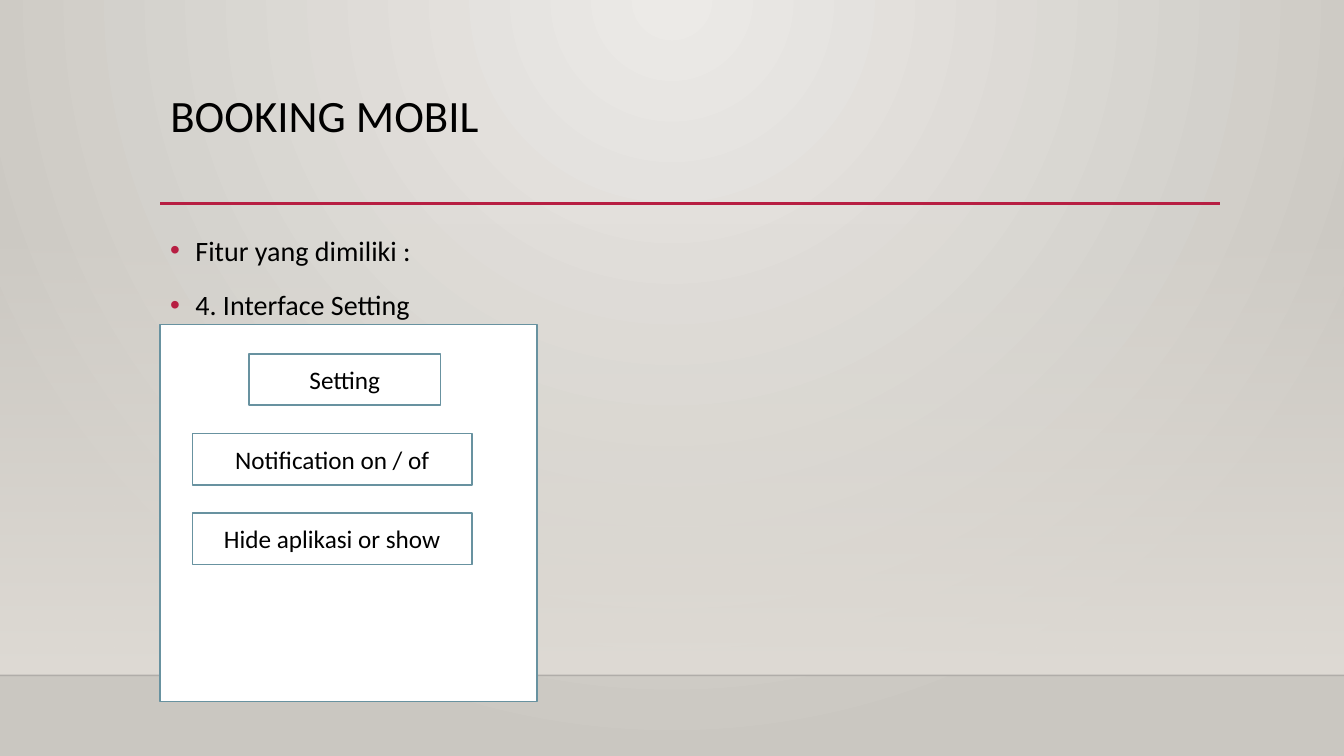
from pptx import Presentation
from pptx.dml.color import RGBColor
from pptx.enum.shapes import MSO_CONNECTOR as CONN, MSO_SHAPE as SHAPE
from pptx.enum.text import MSO_ANCHOR as ANCHOR, PP_ALIGN as ALIGN
from pptx.oxml import parse_xml
from pptx.oxml.ns import nsdecls, qn
from pptx.oxml.xmlchemy import OxmlElement
from pptx.util import Inches, Pt

FONT = "Calibri"
BLACK, WHITE, RED, TEAL = "000000", "FFFFFF", "B71E42", "6892A0"
LEFT, WIDTH = 1.59, 10.5


def rgb(color):
    return RGBColor.from_string(color)


def box(left, top, width, height):
    return [Inches(v) for v in (left, top, width, height)]


def add_run(p, text, size):
    r = p.add_run()
    r.text = text
    r.font.name, r.font.size = FONT, Pt(size)
    r.font.color.rgb = rgb(BLACK)


def add_alpha(color_el, percent):
    alpha = OxmlElement("a:alpha")
    alpha.set("val", str(percent * 1000))
    color_el.append(alpha)


def set_gradient(fill, element, stops, direction):
    """Stops are (position, colour, opacity); direction is the closing XML."""
    fill.solid()
    solid = element.xpath(".//a:solidFill")[0]
    gs = "".join(
        f'<a:gs pos="{pos * 1000}"><a:srgbClr val="{color}">'
        f'<a:alpha val="{opacity * 1000}"/></a:srgbClr></a:gs>'
        for pos, color, opacity in stops)
    solid.getparent().replace(solid, parse_xml(
        f'<a:gradFill {nsdecls("a")} rotWithShape="1">'
        f"<a:gsLst>{gs}</a:gsLst>{direction}</a:gradFill>"))


def add_rule(s, left, right, y, color, width, opacity=100):
    line = s.shapes.add_connector(
        CONN.STRAIGHT, Inches(left), Inches(y), Inches(right), Inches(y))
    line.line.color.rgb = rgb(color)
    line.line.width = Pt(width)
    sp_pr = line._element.spPr
    if opacity < 100:
        add_alpha(sp_pr.find(".//" + qn("a:srgbClr")), opacity)
    sp_pr.append(OxmlElement("a:effectLst"))


def add_backdrop(s):
    set_gradient(s.background.fill, s._element,
                 [(0, "ECEAE7", 100), (100, "CAC7C1", 100)],
                 '<a:path path="circle">'
                 '<a:fillToRect l="43000" t="0" r="43000" b="100000"/></a:path>')
    wall = s.shapes.add_shape(SHAPE.RECTANGLE, *box(0, 2.21, 13.33, 4.49))
    wall.shadow.inherit = False
    set_gradient(wall.fill, wall._element,
                 [(0, "DFDBD5", 0), (100, "DFDBD5", 100)],
                 '<a:lin ang="5400000" scaled="0"/>')
    wall.line.fill.background()
    add_rule(s, 0, 13.33, 6.7, "000001", 1, opacity=20)
    add_rule(s, LEFT, 12.1, 2.02, RED, 2.5)


def add_title(s, text):
    title = s.shapes.title
    title.left, title.top, title.width, title.height = box(LEFT, 0.88, WIDTH, 1.15)
    s.shapes._spTree.append(title._element)  # in front of the backdrop
    tf = title.text_frame
    tf.word_wrap, tf.vertical_anchor = True, ANCHOR.TOP
    p = tf.paragraphs[0]
    p.alignment, p.line_spacing = ALIGN.LEFT, 0.9
    add_run(p, text, 32)


def add_bullets(s, lines):
    tf = s.shapes.add_textbox(*box(LEFT, 2.2, WIDTH, 3.77)).text_frame
    tf.word_wrap = True
    for i, text in enumerate(lines):
        p = tf.add_paragraph() if i else tf.paragraphs[0]
        p.line_spacing, p.space_before = 1.2, Pt(10)
        p_pr = p._p.get_or_add_pPr()
        p_pr.set("marL", str(Inches(0.25)))
        p_pr.set("indent", str(-Inches(0.25)))
        p_pr.append(parse_xml(
            f'<a:buClr {nsdecls("a")}><a:srgbClr val="{RED}"/></a:buClr>'))
        p_pr.append(parse_xml(f'<a:buFont {nsdecls("a")} typeface="Arial"/>'))
        p_pr.append(parse_xml(f'<a:buChar {nsdecls("a")} char="•"/>'))
        add_run(p, text, 20)


def add_panel(group, left, top, width, height, text=None):
    sp = group.shapes.add_shape(SHAPE.RECTANGLE, *box(left, top, width, height))
    sp.shadow.inherit = False
    sp.fill.solid()
    sp.fill.fore_color.rgb = rgb(WHITE)
    sp.line.color.rgb = rgb(TEAL)
    sp.line.width = Pt(1.25)
    if text:
        tf = sp.text_frame
        tf.word_wrap, tf.vertical_anchor = True, ANCHOR.MIDDLE
        p = tf.paragraphs[0]
        p.alignment = ALIGN.CENTER
        add_run(p, text, 18)


def add_setting_screen(s):
    screen = s.shapes.add_group_shape()
    add_panel(screen, LEFT, 3.22, 3.74, 3.74)
    controls = [("Setting", 2.47, 1.9),
                ("Notification on / of", 1.91, 2.77),
                ("Hide aplikasi or show", 1.91, 2.77)]
    for i, (text, left, width) in enumerate(controls):
        add_panel(screen, left, 3.51 + 0.79 * i, width, 0.51, text)


def main():
    prs = Presentation()
    prs.slide_width, prs.slide_height = Inches(13.33), Inches(7.5)
    s = prs.slides.add_slide(prs.slide_layouts[5])
    add_backdrop(s)
    add_title(s, "BOOKING MOBIL")
    add_bullets(s, ["Fitur yang dimiliki :", "4. Interface Setting"])
    add_setting_screen(s)
    prs.save("out.pptx")


main()
